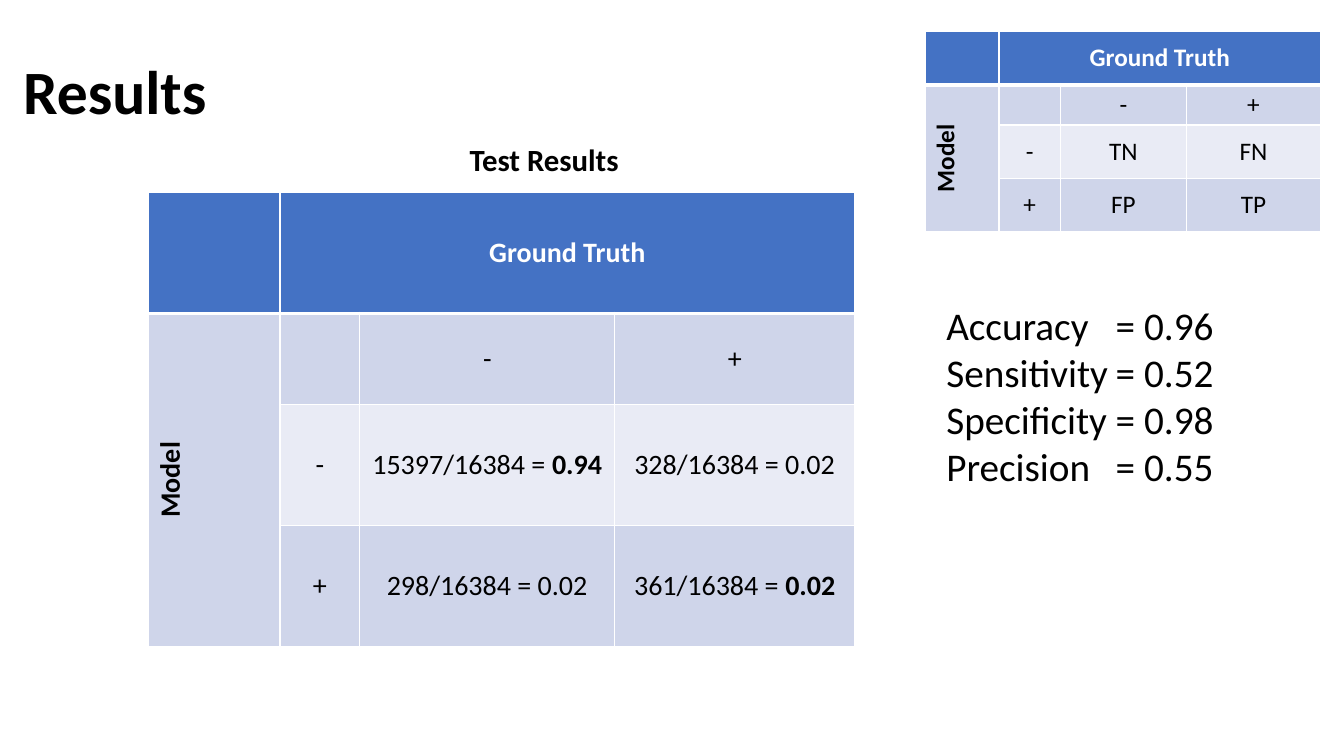
from dataclasses import dataclass

from lxml import etree
from pptx import Presentation
from pptx.dml.color import RGBColor
from pptx.enum.text import MSO_ANCHOR, PP_ALIGN
from pptx.oxml.ns import qn
from pptx.util import Pt

MIDDLE = MSO_ANCHOR.MIDDLE
TOP = MSO_ANCHOR.TOP
CENTER = PP_ALIGN.CENTER
FONT = "Calibri"
COLORS = {
    "text": "000000",
    "white": "FFFFFF",
    "header": "4472C4",
    "dark band": "CFD5EA",
    "light band": "E9EBF5",
}
ROW_FILLS = ["header", "dark band", "light band", "dark band"]
THIN, THICK = 1, 3
METRIC_TAB = 121


@dataclass
class Label:
    left: float
    top: float
    width: float
    height: float
    lines: list[str]
    size: float
    bold: bool = False
    anchor: MSO_ANCHOR = TOP
    line_spacing: float = 1.0
    tab: float | None = None


@dataclass
class Matrix:
    left: float
    top: float
    column_widths: list[float]
    header_height: float
    sign_height: float
    size: float
    counts: list[list[tuple[str, str]]]


LABELS = [
    Label(9.4, 15.1, 193, 104.4, ["Results"], 44, True, MIDDLE, 0.9),
    Label(328.3, 97.2, 133.2, 33.8, ["Test Results"], 22, True),
    Label(668.9, 211.7, 228.2, 177.1,
          ["Accuracy\t= 0.96", "Sensitivity\t= 0.52",
           "Specificity\t= 0.98", "Precision\t= 0.55"], 28, tab=METRIC_TAB),
]
MATRICES = [
    Matrix(105.8, 137.5, [94.3, 56.9, 182.2, 171.4], 86.4, 64.8, 20,
           [[("15397/16384 = ", "0.94"), ("328/16384 = 0.02", "")],
            [("298/16384 = 0.02", ""), ("361/16384 = ", "0.02")]]),
    Matrix(661, 22.3, [52.6, 43.9, 90, 95.8], 38.2, 28.8, 18,
           [[("TN", ""), ("FN", "")], [("FP", ""), ("TP", "")]]),
]


def rgb(name: str) -> RGBColor:
    return RGBColor.from_string(COLORS[name])


def style(para, size: float, color: str, bold: bool) -> None:
    font = para.font
    font.name, font.size, font.bold = FONT, Pt(size), bold
    font.color.rgb = rgb(color)


def add_label(page, label: Label) -> None:
    box = page.shapes.add_textbox(
        Pt(label.left), Pt(label.top), Pt(label.width), Pt(label.height))
    frame = box.text_frame
    frame.word_wrap = True
    frame.vertical_anchor = label.anchor
    for index, line in enumerate(label.lines):
        para = frame.add_paragraph() if index else frame.paragraphs[0]
        para.add_run().text = line
        para.line_spacing = label.line_spacing
        if label.tab:
            tabs = etree.SubElement(para._p.get_or_add_pPr(), qn("a:tabLst"))
            etree.SubElement(tabs, qn("a:tab"), pos=str(Pt(label.tab)), algn="l")
        style(para, label.size, "text", label.bold)


def add_borders(cell, row: int) -> None:
    widths = {"L": THIN, "R": THIN,
              "T": THICK if row == 1 else THIN,
              "B": THICK if row == 0 else THIN}
    properties = cell._tc.get_or_add_tcPr()
    for side, width in widths.items():
        line = etree.SubElement(properties, qn(f"a:ln{side}"), w=str(Pt(width)))
        fill = etree.SubElement(line, qn("a:solidFill"))
        etree.SubElement(fill, qn("a:srgbClr"), val=COLORS["white"])


def write_cell(cell, size: float, plain: str, strong: str = "",
               color: str = "text", bold: bool = False) -> None:
    cell.vertical_anchor = MIDDLE
    para = cell.text_frame.paragraphs[0]
    para.alignment = CENTER
    style(para, size, color, bold)
    para.add_run().text = plain
    if strong:
        span = para.add_run()
        span.text = strong
        span.font.bold = True


def add_matrix(page, matrix: Matrix) -> None:
    heights = [matrix.header_height, matrix.sign_height,
               matrix.header_height, matrix.header_height]
    table = page.shapes.add_table(
        len(heights), len(matrix.column_widths), Pt(matrix.left), Pt(matrix.top),
        Pt(sum(matrix.column_widths)), Pt(sum(heights))).table
    table.horz_banding = False
    for column, width in zip(table.columns, matrix.column_widths):
        column.width = Pt(width)
    for row_index, height in enumerate(heights):
        table.rows[row_index].height = Pt(height)
        for cell in table.rows[row_index].cells:
            add_borders(cell, row_index)
            cell.fill.solid()
            cell.fill.fore_color.rgb = rgb(ROW_FILLS[row_index])

    truth, model = table.cell(0, 1), table.cell(1, 0)
    truth.merge(table.cell(0, 3))
    model.merge(table.cell(3, 0))
    write_cell(truth, matrix.size, "Ground Truth", color="white", bold=True)
    write_cell(model, matrix.size, "Model", bold=True)
    model._tc.get_or_add_tcPr().set("vert", "vert270")
    for index, sign in enumerate("-+", start=2):
        write_cell(table.cell(1, index), matrix.size, sign)
        write_cell(table.cell(index, 1), matrix.size, sign)
    for row_index, row in enumerate(matrix.counts, start=2):
        for column_index, (plain, strong) in enumerate(row, start=2):
            write_cell(table.cell(row_index, column_index), matrix.size, plain, strong)


def main() -> None:
    deck = Presentation()
    deck.slide_width, deck.slide_height = Pt(960), Pt(540)
    page = deck.slides.add_slide(deck.slide_layouts[6])
    for label in LABELS:
        add_label(page, label)
    for matrix in MATRICES:
        add_matrix(page, matrix)
    deck.save("out.pptx")


if __name__ == "__main__":
    main()
